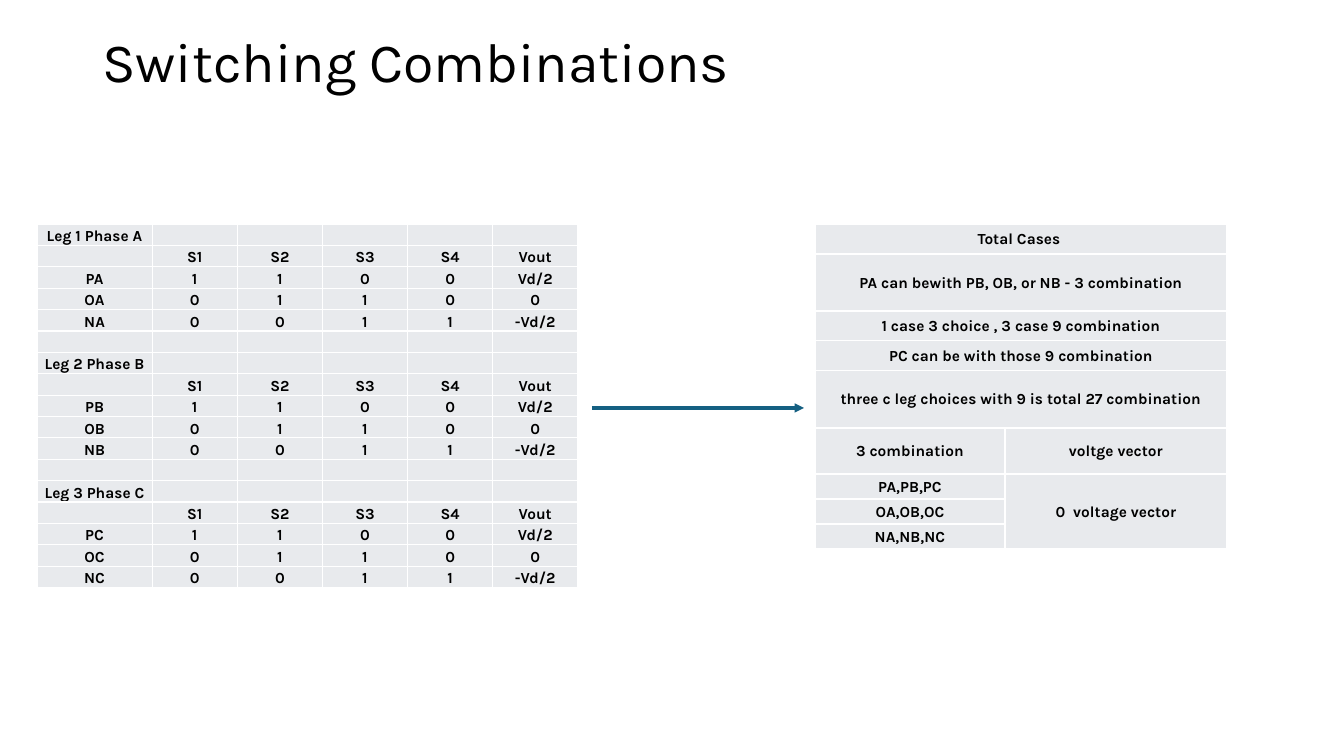
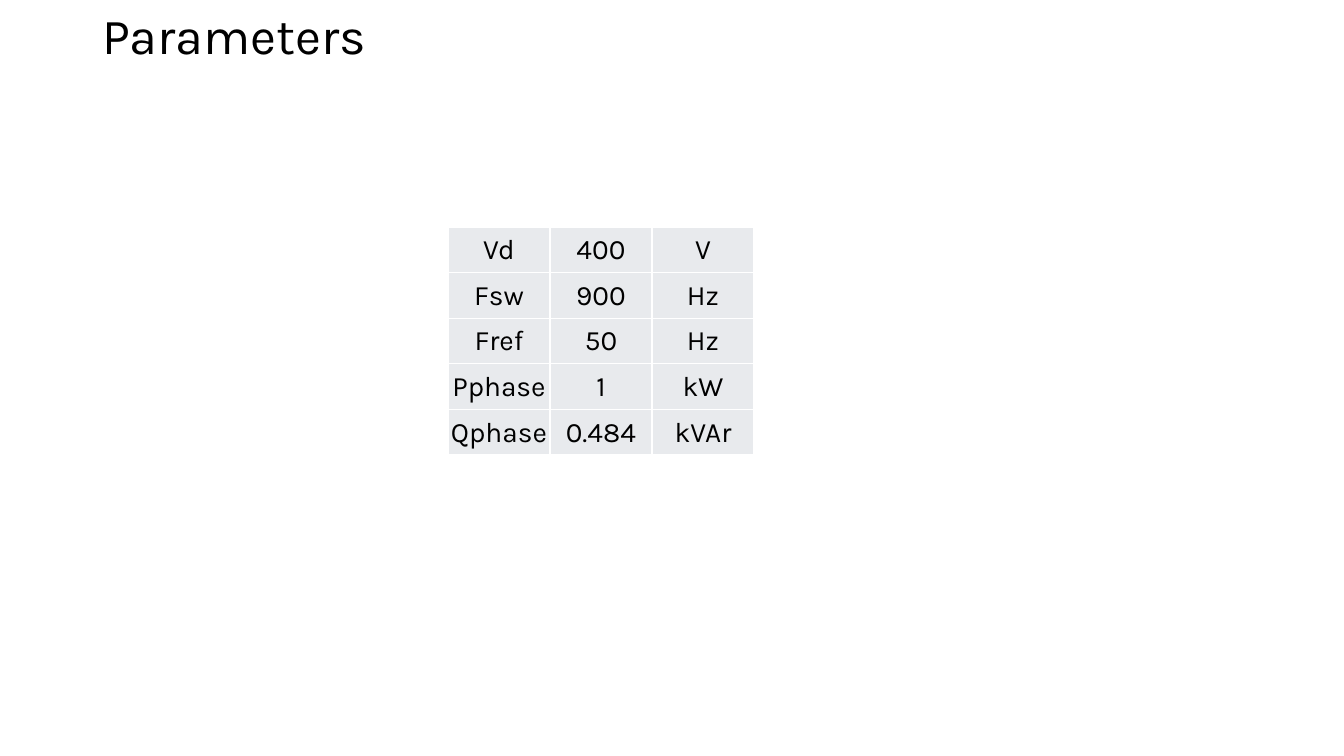
from dataclasses import dataclass

from lxml import etree
from pptx import Presentation
from pptx.dml.color import RGBColor
from pptx.enum.shapes import MSO_CONNECTOR
from pptx.enum.text import MSO_ANCHOR, MSO_AUTO_SIZE, PP_ALIGN
from pptx.oxml.ns import qn
from pptx.util import Pt

STRAIGHT = MSO_CONNECTOR.STRAIGHT
MIDDLE, BOTTOM = MSO_ANCHOR.MIDDLE, MSO_ANCHOR.BOTTOM
LEFT, CENTER = PP_ALIGN.LEFT, PP_ALIGN.CENTER
NO_FIT = MSO_AUTO_SIZE.NONE
TITLE_ONLY = 5
EMU_PER_PX = 914400 / 100.8


@dataclass(frozen=True)
class Theme:
    font: str = "Karla"
    ink: str = "000000"
    cell: str = "E8EAED"
    paper: str = "FFFFFF"
    arrow: str = "156082"
    title_size: float = 39.6
    small_title_size: float = 36
    dense_size: float = 11
    parameter_size: float = 20
    rule_width: float = 1
    arrow_width: float = 2.25


THEME = Theme()

SWITCH_STATES = (
    ("P", "1", "1", "0", "0", "Vd/2"),
    ("O", "0", "1", "1", "0", "0"),
    ("N", "0", "0", "1", "1", "-Vd/2"),
)
CASES = (
    ("Total Cases ",),
    ("PA can bewith PB, OB, or NB - 3 combination",),
    ("1 case 3 choice , 3 case 9 combination",),
    ("PC can be with those 9 combination",),
    ("three c leg choices with 9 is total 27 combination",),
)
ZERO_VECTORS = (
    ("3 combination", "voltge vector"),
    ("PA,PB,PC", "0  voltage vector"),
    ("OA,OB,OC", ""),
    ("NA,NB,NC", ""),
)
PARAMETERS = (
    ("Vd", "400", "V"),
    ("Fsw", "900", "Hz"),
    ("Fref", "50", "Hz"),
    ("Pphase", "1", "kW"),
    ("Qphase", "0.484", "kVAr"),
)


def px(length):
    return round(length * EMU_PER_PX)


def write(frame, text, size, bold=False, align=LEFT, spacing=None):
    paragraph = frame.paragraphs[0]
    paragraph.alignment = align
    if spacing:
        paragraph.line_spacing = spacing
    if not text:
        etree.SubElement(paragraph._p, qn("a:endParaRPr"), sz=str(round(size * 100)))
        return
    run = paragraph.add_run()
    run.text = text
    run.font.name = THEME.font
    run.font.size = Pt(size)
    run.font.bold = bold
    run.font.color.rgb = RGBColor.from_string(THEME.ink)


def place_title(slide, box, text, size):
    title = slide.shapes.title
    title.left, title.top, title.width, title.height = map(px, box)
    frame = title.text_frame
    frame.word_wrap = True
    frame.auto_size = NO_FIT
    frame.vertical_anchor = MIDDLE
    write(frame, text, size, spacing=0.9)


def style_cell(cell, anchor):
    cell.margin_left = cell.margin_right = cell.margin_top = px(1)
    cell.margin_bottom = 0
    cell.vertical_anchor = anchor
    properties = cell._tc.get_or_add_tcPr()
    for side in ("lnL", "lnR", "lnT", "lnB"):
        rule = etree.SubElement(properties, qn(f"a:{side}"), w=str(Pt(THEME.rule_width)))
        paint = etree.SubElement(rule, qn("a:solidFill"))
        etree.SubElement(paint, qn("a:srgbClr"), val=THEME.paper)
    cell.fill.solid()
    cell.fill.fore_color.rgb = RGBColor.from_string(THEME.cell)


def share_out(length, shares):
    return [px(length * share / sum(shares)) for share in shares]


def place_table(slide, box, rows, size, column_shares=None, row_shares=None,
                bold=False, anchor=MIDDLE):
    column_shares = column_shares or [1] * len(rows[0])
    row_shares = row_shares or [1] * len(rows)
    table = slide.shapes.add_table(len(rows), len(rows[0]), *map(px, box)).table
    table.first_row = table.horz_banding = False
    for column, width in zip(table.columns, share_out(box[2], column_shares)):
        column.width = width
    for row, height in zip(table.rows, share_out(box[3], row_shares)):
        row.height = height
    for r, row in enumerate(rows):
        for c, text in enumerate(row):
            cell = table.cell(r, c)
            style_cell(cell, anchor)
            write(cell.text_frame, text, size, bold=bold, align=CENTER)
    return table


def leg_rows():
    blank = ("",) * 6
    rows = []
    for number, phase in enumerate("ABC", start=1):
        if rows:
            rows.append(blank)
        rows.append((f"Leg {number} Phase {phase}", *blank[1:]))
        rows.append(("", "S1", "S2", "S3", "S4", "Vout"))
        rows += [(state + phase, *values) for state, *values in SWITCH_STATES]
    return rows


def place_cases(slide, box):
    left, top, width, height = box
    cases_height = 204
    place_table(slide, (left, top, width, cases_height), CASES, THEME.dense_size,
                row_shares=(30, 57, 30, 30, 57), bold=True)
    vectors = place_table(
        slide, (left, top + cases_height, width, height - cases_height),
        ZERO_VECTORS, THEME.dense_size, column_shares=(190, 222),
        row_shares=(46, 25, 25, 25), bold=True)
    vectors.cell(1, 1).merge(vectors.cell(3, 1))


def place_arrow(slide, start, end):
    arrow = slide.shapes.add_connector(STRAIGHT, *map(px, (*start, *end)))
    arrow.line.color.rgb = RGBColor.from_string(THEME.arrow)
    arrow.line.width = Pt(THEME.arrow_width)
    etree.SubElement(arrow.line._get_or_add_ln(), qn("a:tailEnd"), type="triangle")
    etree.SubElement(arrow._element.spPr, qn("a:effectLst"))


def add_slide(deck):
    return deck.slides.add_slide(deck.slide_layouts[TITLE_ONLY])


def build_switching(deck):
    slide = add_slide(deck)
    place_title(slide, (92, 40, 1159, 50), "Switching Combinations", THEME.title_size)
    place_table(slide, (37, 224, 541, 364), leg_rows(), THEME.dense_size,
                column_shares=(115, 85, 85, 85, 85, 85), bold=True, anchor=BOTTOM)
    place_cases(slide, (815, 224, 412, 325))
    place_arrow(slide, (592, 408), (804, 408))


def build_parameters(deck):
    slide = add_slide(deck)
    place_title(slide, (92, 8, 1159, 60), "Parameters", THEME.small_title_size)
    place_table(slide, (448, 227, 306, 228), PARAMETERS, THEME.parameter_size)


def main():
    deck = Presentation()
    deck.slide_width, deck.slide_height = px(1344), px(756)
    build_switching(deck)
    build_parameters(deck)
    deck.save("out.pptx")


if __name__ == "__main__":
    main()
